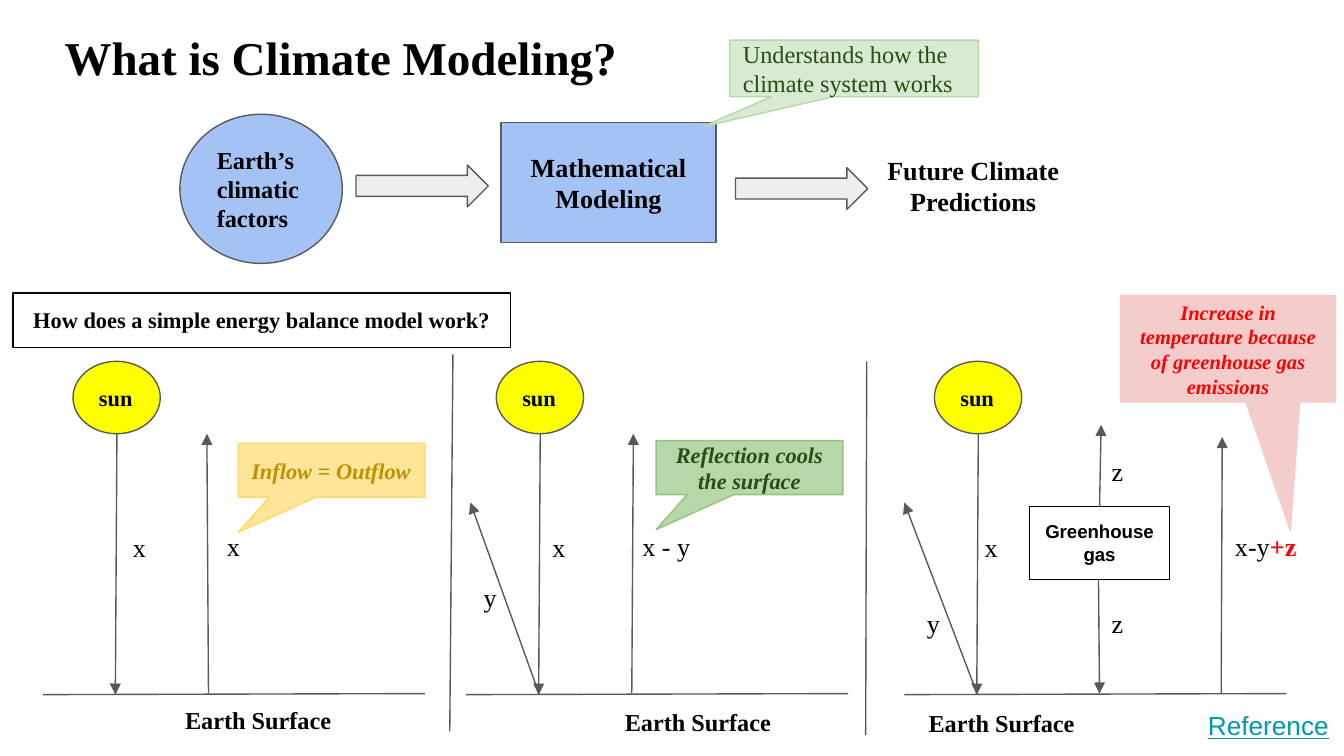
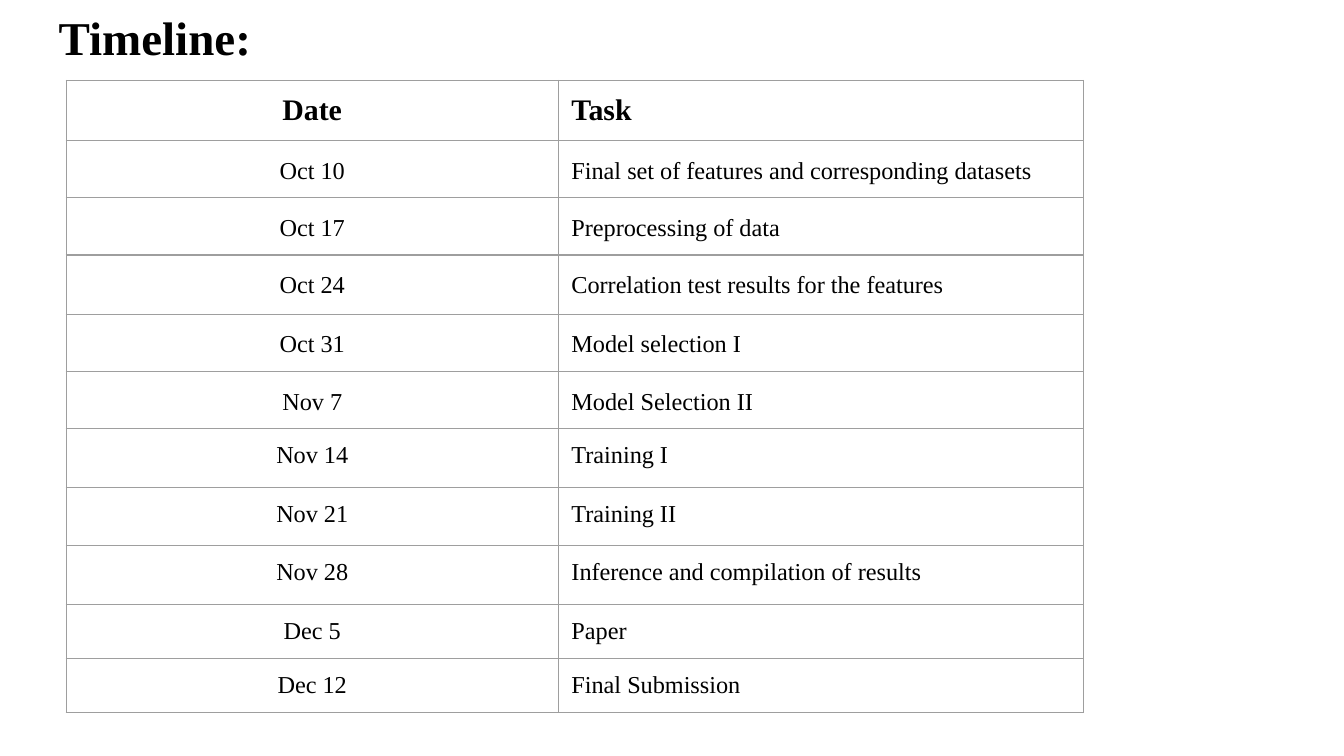
"""Build two slides: a climate modeling diagram and a project timeline."""
import pptx
import pptx.util
import pptx.dml.color
import pptx.enum.shapes
import pptx.enum.text
import pptx.oxml
import pptx.oxml.ns
import lxml.etree

Cm, Pt = pptx.util.Cm, pptx.util.Pt
SHAPE = pptx.enum.shapes.MSO_SHAPE
ALIGN = pptx.enum.text.PP_ALIGN
ANCHOR = pptx.enum.text.MSO_ANCHOR
SERIF, SANS = "Times New Roman", "Arial"
BLACK, GRAY, RED, GREEN = "000000", "595959", "FF0000", "274E13"
BLUE, SILVER, YELLOW, BORDER = "A4C2F4", "EEEEEE", "FFFF00", "9E9E9E"
PAD = Cm(0.25)
INSET = {"margin_left": PAD, "margin_right": PAD,
         "margin_top": PAD, "margin_bottom": PAD}
MID = {"alignment": ALIGN.CENTER}
BOLD = {"bold": True}
SLANT = {"bold": True, "italic": True}


def tone(code):
    return pptx.dml.color.RGBColor.from_string(code)


def apply(item, form):
    for key, value in form.items():
        setattr(item, key, value)


def add(parent, tag, **attrs):
    return lxml.etree.SubElement(parent, pptx.oxml.ns.qn(tag), **attrs)


class Deck:
    def __init__(self):
        self.show = pptx.Presentation()
        apply(self.show, {"slide_width": Cm(25.4), "slide_height": Cm(14.29)})
        self.slide = None

    def page(self):
        self.slide = self.show.slides.add_slide(self.show.slide_layouts[6])

    def put(self, frame, text, size, color=BLACK, font=None, para=None, more=None):
        line = frame.paragraphs[0]
        apply(line, {"alignment": ALIGN.LEFT, **(para or {})})
        base = {"name": SERIF, "size": Pt(size), **(font or {})}
        parts = [(text, color, base)]
        if more:
            parts.append((more[0], more[1], {**base, **BOLD}))
        for words, hue, form in parts:
            run = line.add_run()
            run.text = words
            apply(run.font, form)
            run.font.color.rgb = tone(hue)

    def fit(self, frame, anchor):
        apply(frame, {"word_wrap": True, "vertical_anchor": anchor, **INSET})

    def text(self, box, words, size, **look):
        item = self.slide.shapes.add_textbox(*map(Cm, box))
        self.fit(item.text_frame, ANCHOR.TOP)
        self.put(item.text_frame, words, size, **look)

    def title(self, left, top, words):
        self.text((left, top, 23.67, 1.6), words, 25.2, font=BOLD)

    def label(self, left, top, words, width=0.79, **look):
        self.text((left, top, width, 1.12), words, 14, **look)

    def shape(self, kind, box, fill=None, edge=GRAY, words=None, size=12,
              anchor=ANCHOR.MIDDLE, tip=(), **look):
        item = self.slide.shapes.add_shape(kind, *map(Cm, box))
        item.shadow.inherit = False
        for place, value in enumerate(tip):
            item.adjustments[place] = value
        if fill:
            item.fill.solid()
            item.fill.fore_color.rgb = tone(fill)
        else:
            item.fill.background()
        item.line.color.rgb = tone(edge)
        item.line.width = Pt(0.75)
        if words:
            self.fit(item.text_frame, anchor)
            self.put(item.text_frame, words, size, **look)

    def callout(self, box, tip, fill, edge, words, size, **look):
        self.shape(SHAPE.RECTANGULAR_CALLOUT, box, fill, edge, words, size,
                   tip=tip, **look)

    def line(self, start, end, arrow=False):
        kind = pptx.enum.shapes.MSO_CONNECTOR.STRAIGHT
        item = self.slide.shapes.add_connector(kind, *map(Cm, start + end))
        item.line.color.rgb = tone(GRAY)
        item.line.width = Pt(0.75)
        props = item._element.spPr
        if arrow:
            add(props.find(pptx.oxml.ns.qn("a:ln")), "a:tailEnd", type="triangle")
        add(props, "a:effectLst")

    def edge(self, cell):
        props = cell._tc.get_or_add_tcPr()
        for place, side in enumerate(("a:lnL", "a:lnR", "a:lnT", "a:lnB")):
            line = add(props, side, w=str(int(Pt(0.75))))
            add(add(line, "a:solidFill"), "a:srgbClr", val=BORDER)
            props.insert(place, line)

    def table(self, left, top, cols, rows, data):
        box = map(Cm, (left, top, sum(cols), sum(rows)))
        grid = self.slide.shapes.add_table(len(rows), len(cols), *box).table
        apply(grid, {"first_row": False, "horz_banding": False})
        for col, width in zip(grid.columns, cols):
            col.width = Cm(width)
        for row, height in zip(grid.rows, rows):
            row.height = Cm(height)
        for y, pair in enumerate(data):
            loose = {"line_spacing": 1.15, "space_after": Pt(12)} if 1 <= y <= 5 else {}
            for x, words in enumerate(pair):
                cell = grid.cell(y, x)
                apply(cell, INSET)
                cell.fill.background()
                self.edge(cell)
                self.put(cell.text_frame, words, 13 if y else 16,
                         font={"bold": y == 0},
                         para={**loose, **({} if x else MID)})


def flow(deck):
    deck.title(0.97, 0.28, "What is Climate Modeling?")
    deck.shape(SHAPE.OVAL, (3.4, 2.16, 3.07, 2.82), BLUE,
               words="Earth’s climatic factors", size=13, font=BOLD)
    deck.shape(SHAPE.RECTANGLE, (9.47, 2.32, 4.06, 2.27), BLUE,
               words="Mathematical Modeling", size=14, font=BOLD, para=MID)
    for left, top in ((6.73, 3.12), (13.9, 3.17)):
        deck.shape(SHAPE.RIGHT_ARROW, (left, top, 2.5, 0.79), SILVER)
    deck.text((15.93, 2.67, 4.93, 1.7), "Future Climate Predictions", 14,
              font=BOLD, para=MID)
    deck.callout((13.79, 0.76, 4.7, 1.07), (-0.61, 1.03), "D9EAD3", "B6D7A8",
                 "Understands how the climate system works", 13, color=GREEN)


def panels(deck):
    deck.line((8.56, 6.7), (8.5, 13.82))
    deck.line((16.38, 6.83), (16.36, 13.89))
    deck.shape(SHAPE.RECTANGLE, (0.25, 5.54, 9.4, 1.03), edge=BLACK,
               words="How does a simple energy balance model work?",
               anchor=ANCHOR.TOP, font=BOLD, para=MID)
    for left, beam, rise, drift, peak, name, base in (
            (0.81, 2.26, 3.94, -0.03, 8.2, 3.25, 13.08),
            (8.81, 10.19, 11.94, 0.03, 8.2, 11.56, 13.11),
            (17.09, 18.36, 23.08, 0.02, 8.26, 17.3, 13.13)):
        deck.shape(SHAPE.OVAL, (left + 0.57, 6.83, 1.65, 1.37), YELLOW,
                   words="sun", font=BOLD)
        deck.line((left, 13.13), (left + 7.22, 13.11))
        deck.line((left + 1.4, 8.18), (left + 1.37, 13.13), True)
        deck.line((rise, 13.1), (rise + drift, peak), True)
        deck.label(beam, 9.79, "x")
        deck.text((name, base, 3.91, 1.07), "Earth Surface", 13, font=BOLD)
    for foot, tip, left, top in ((10.19, 8.89, 8.89, 10.74),
                                 (18.47, 17.09, 17.27, 11.23)):
        deck.line((foot, 13.12), (tip, 9.5), True)
        deck.label(left, top, "y")
    deck.label(4.04, 9.78, "x")
    deck.label(11.89, 9.78, "x - y", 1.65)
    deck.label(23.09, 9.78, "x-y", 1.93, more=("+z", RED))


def notes(deck):
    deck.callout((4.5, 8.38, 3.53, 1.02), (-0.5, 1.15), "FFE599", "FFD966",
                 "Inflow = Outflow", 12, color="BF9000", font=SLANT)
    deck.callout((12.4, 8.33, 3.53, 1.02), (-0.5, 1.15), "B6D7A8", "93C47D",
                 "Reflection cools the surface", 12, color=GREEN,
                 font=SLANT, para=MID)
    deck.callout((21.18, 5.59, 4.06, 2.01), (0.29, 1.71), "F4CCCC", "F4CCCC",
                 "Increase in temperature because of greenhouse gas emissions",
                 11, color=RED, font=SLANT, para=MID)
    deck.shape(SHAPE.RECTANGLE, (19.46, 9.58, 2.64, 1.37), edge=BLACK,
               words="Greenhouse gas", size=10, anchor=ANCHOR.TOP,
               font={"name": SANS, **BOLD}, para=MID)
    deck.line((20.76, 10.95), (20.78, 13.11), True)
    deck.line((20.78, 9.58), (20.81, 8.03), True)
    for top in (8.36, 11.23):
        deck.label(20.76, top, "z")
    deck.label(22.58, 13.16, "Reference", 2.95, color="0097A7",
               font={"name": SANS, "underline": True})


def dates(deck):
    rows = (1.14, 1.02, 1.02, 1.12, 1.02, 1.02, 1.12, 1.09, 1.12, 1.02, 1.02)
    deck.table(1.25, 1.52, (9.3, 9.93), rows, (
        ("Date", "Task"),
        ("Oct 10", "Final set of features and corresponding datasets"),
        ("Oct 17", "Preprocessing of data"),
        ("Oct 24", "Correlation test results for the features"),
        ("Oct 31", "Model selection I"),
        ("Nov 7", "Model Selection II"),
        ("Nov 14", "Training I"),
        ("Nov 21", "Training II"),
        ("Nov 28", "Inference and compilation of results"),
        ("Dec 5", "Paper"),
        ("Dec 12", "Final Submission")))
    deck.title(0.86, -0.08, "Timeline:")


def main():
    deck = Deck()
    deck.page()
    flow(deck)
    panels(deck)
    notes(deck)
    deck.page()
    dates(deck)
    deck.show.save("out.pptx")


if __name__ == "__main__":
    main()
